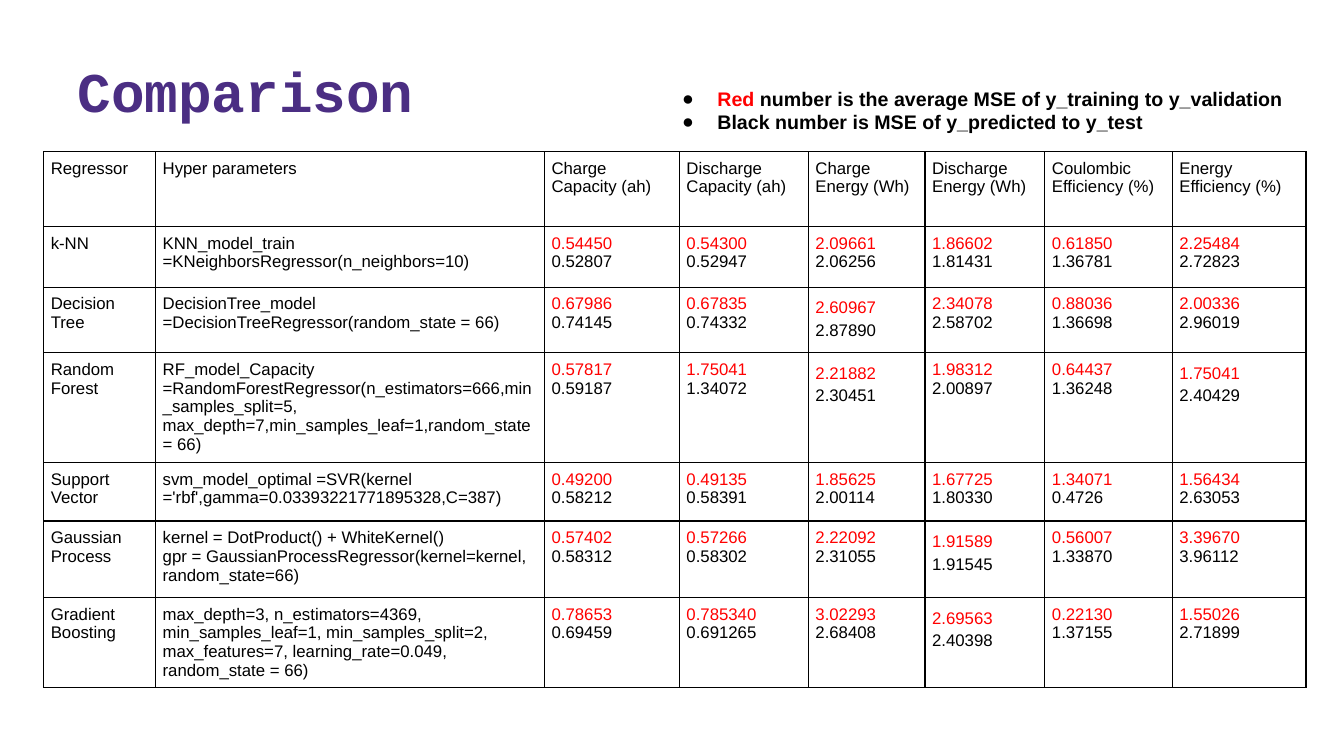
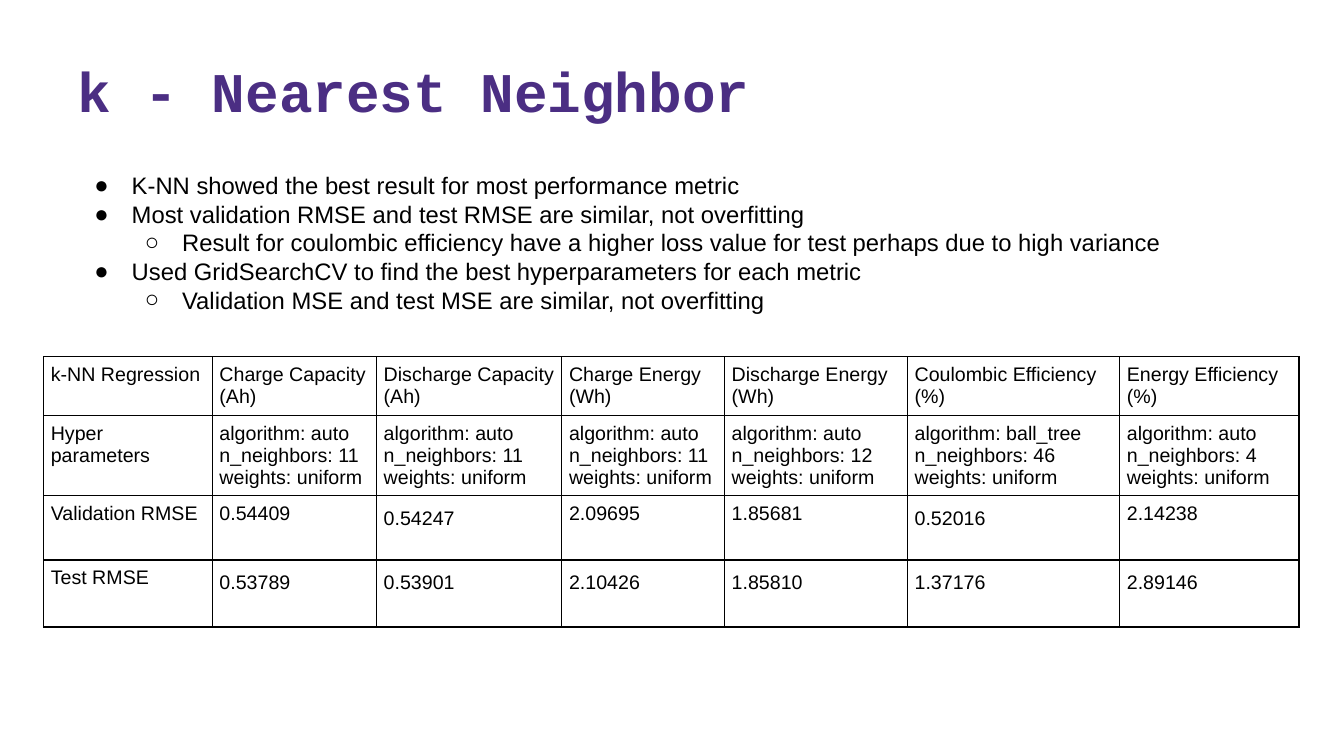
import pptx
import pptx.dml.color
import pptx.enum.text
import pptx.oxml
import pptx.oxml.ns
import pptx.util
from pptx.util import Cm

BLACK, RED, PURPLE = "000000", "FF0000", "4B2E83"
BODY_FONT, TITLE_FONT = "Arial", "Courier New"
LOOSE_SPACING = 1.21
CELL_MARGIN = Cm(0.18)

COMPARISON_HEADER = [
    "Regressor", "Hyper parameters", "Charge Capacity (ah)", "Discharge Capacity (ah)",
    "Charge Energy (Wh)", "Discharge Energy (Wh)", "Coulombic Efficiency (%)",
    "Energy Efficiency (%)",
]
REGRESSORS = [
    ("k-NN", "KNN_model_train =KNeighborsRegressor(n_neighbors=10)",
     "0.54450 0.54300 2.09661 1.86602 0.61850 2.25484",
     "0.52807 0.52947 2.06256 1.81431 1.36781 2.72823"),
    ("Decision Tree", "DecisionTree_model =DecisionTreeRegressor(random_state = 66)",
     "0.67986 0.67835 2.60967 2.34078 0.88036 2.00336",
     "0.74145 0.74332 2.87890 2.58702 1.36698 2.96019"),
    ("Random Forest",
     "RF_model_Capacity =RandomForestRegressor(n_estimators=666,min_samples_split=5, "
     "max_depth=7,min_samples_leaf=1,random_state = 66)",
     "0.57817 1.75041 2.21882 1.98312 0.64437 1.75041",
     "0.59187 1.34072 2.30451 2.00897 1.36248 2.40429"),
    ("Support Vector",
     "svm_model_optimal =SVR(kernel ='rbf',gamma=0.03393221771895328,C=387)",
     "0.49200 0.49135 1.85625 1.67725 1.34071 1.56434",
     "0.58212 0.58391 2.00114 1.80330 0.4726 2.63053"),
    ("Gaussian Process",
     "kernel = DotProduct() + WhiteKernel()\n"
     "gpr = GaussianProcessRegressor(kernel=kernel, random_state=66)",
     "0.57402 0.57266 2.22092 1.91589 0.56007 3.39670",
     "0.58312 0.58302 2.31055 1.91545 1.33870 3.96112"),
    ("Gradient Boosting",
     "max_depth=3, n_estimators=4369,\nmin_samples_leaf=1, min_samples_split=2,\n"
     "max_features=7, learning_rate=0.049,\nrandom_state = 66)",
     "0.78653 0.785340 3.02293 2.69563 0.22130 1.55026",
     "0.69459 0.691265 2.68408 2.40398 1.37155 2.71899"),
]
COMPARISON_LOOSE = {(2, 4), (3, 4), (3, 7), (5, 5), (6, 5)}

NEIGHBOR_HEADER = [
    "k-NN Regression", "Charge Capacity (Ah)", "Discharge Capacity (Ah)",
    "Charge Energy (Wh)", "Discharge Energy (Wh)", "Coulombic Efficiency (%)",
    "Energy Efficiency (%)",
]
NEIGHBOR_SETTINGS = [("auto", 11), ("auto", 11), ("auto", 11), ("auto", 12),
                     ("ball_tree", 46), ("auto", 4)]
VALIDATION_RMSE = "0.54409 0.54247 2.09695 1.85681 0.52016 2.14238"
TEST_RMSE = "0.53789 0.53901 2.10426 1.85810 1.37176 2.89146"
NEIGHBOR_LOOSE = {(2, 2), (2, 5)} | {(3, column) for column in range(1, 7)}


def rgb(code):
    return pptx.dml.color.RGBColor.from_string(code)


def add_text(para, text, font=BODY_FONT, size=12, color=BLACK, bold=False):
    span = para.add_run()
    span.text = text
    span.font.name = font
    span.font.size = pptx.util.Pt(size)
    span.font.color.rgb = rgb(color)
    span.font.bold = bold


def next_para(frame, number):
    return frame.add_paragraph() if number else frame.paragraphs[0]


def open_page(deck, title):
    page = deck.slides.add_slide(deck.slide_layouts[5])
    box = page.shapes.title
    box.left, box.top, box.width, box.height = Cm(1.7), Cm(1.37), Cm(30.28), Cm(1.88)
    frame = box.text_frame
    frame.auto_size = pptx.enum.text.MSO_AUTO_SIZE.NONE
    frame.vertical_anchor = pptx.enum.text.MSO_ANCHOR.BOTTOM
    para = frame.paragraphs[0]
    para.alignment = pptx.enum.text.PP_ALIGN.LEFT
    add_text(para, title, font=TITLE_FONT, size=40, color=PURPLE, bold=True)
    return page


def set_bullet(para, level, hanging):
    para.level = level
    props = para._p.get_or_add_pPr()
    props.set("marL", str(Cm(1.27 * (level + 1))))
    props.set("indent", str(-Cm(hanging)))
    namespace = pptx.oxml.ns.nsdecls("a")
    for markup in (
        f'<a:buClr {namespace}><a:srgbClr val="{BLACK}"/></a:buClr>',
        f'<a:buFont {namespace} typeface="{BODY_FONT}"/>',
        f'<a:buChar {namespace} char="{"●○"[level]}"/>',
    ):
        props.append(pptx.oxml.parse_xml(markup))


def add_bullets(page, left, top, width, height, items, size, hanging, bold=False):
    box = page.shapes.add_textbox(Cm(left), Cm(top), Cm(width), Cm(height))
    frame = box.text_frame
    frame.word_wrap = True
    frame.margin_left = frame.margin_right = Cm(0.25)
    frame.margin_top = frame.margin_bottom = Cm(0.25)
    for number, (level, spans) in enumerate(items):
        para = next_para(frame, number)
        set_bullet(para, level, hanging)
        for text, color in spans:
            add_text(para, text, size=size, color=color, bold=bold)


def set_borders(cell):
    props = cell._tc.get_or_add_tcPr()
    for position, side in enumerate(("lnL", "lnR", "lnT", "lnB")):
        props.insert(position, pptx.oxml.parse_xml(
            f'<a:{side} {pptx.oxml.ns.nsdecls("a")} w="{pptx.util.Pt(1)}">'
            f'<a:solidFill><a:srgbClr val="{BLACK}"/></a:solidFill></a:{side}>'))


def fill_cell(cell, text, size, first_color, spacing):
    cell.margin_left = cell.margin_right = CELL_MARGIN
    cell.margin_top = cell.margin_bottom = CELL_MARGIN
    cell.fill.background()
    set_borders(cell)
    for number, line in enumerate(text.split("\n")):
        para = next_para(cell.text_frame, number)
        if spacing:
            para.line_spacing = spacing
        add_text(para, line, size=size, color=BLACK if number else first_color)


def add_grid(page, left, top, widths, heights, rows, size, loose, red_from=None):
    frame = page.shapes.add_table(len(rows), len(widths), Cm(left), Cm(top),
                                  Cm(sum(widths)), Cm(sum(heights)))
    table = frame.table
    table.first_row = table.horz_banding = False
    for column, width in zip(table.columns, widths):
        column.width = Cm(width)
    for row, height in zip(table.rows, heights):
        row.height = Cm(height)
    for down, texts in enumerate(rows):
        for across, text in enumerate(texts):
            is_red = red_from is not None and down > 0 and across >= red_from
            fill_cell(table.cell(down, across), text, size, RED if is_red else BLACK,
                      LOOSE_SPACING if (down, across) in loose else None)


def build_comparison(deck):
    page = open_page(deck, "Comparison")
    rows = [COMPARISON_HEADER]
    for name, settings, training, test in REGRESSORS:
        pairs = zip(training.split(), test.split())
        rows.append([name, settings] + ["\n".join(pair) for pair in pairs])
    add_grid(page, 1.1, 3.82, [2.82, 9.8, 3.4, 3.25, 2.94, 3.02, 3.21, 3.37],
             [1.89, 1.53, 1.65, 2.77, 1.47, 1.93, 2.24], rows, size=12,
             loose=COMPARISON_LOOSE, red_from=2)
    notes = [
        (0, [("Red", RED),
             (" number is the average MSE of y_training to y_validation", BLACK)]),
        (0, [("Black number is MSE of y_predicted to y_test", BLACK)]),
    ]
    add_bullets(page, 16.56, 1.93, 17.75, 1.7, notes, size=14, hanging=0.89, bold=True)


def build_neighbor(deck):
    page = open_page(deck, "k - Nearest Neighbor")
    settings = [f"algorithm: {algorithm} n_neighbors: {count} weights: uniform"
                for algorithm, count in NEIGHBOR_SETTINGS]
    rows = [
        NEIGHBOR_HEADER,
        ["Hyper parameters"] + settings,
        ["Validation RMSE"] + VALIDATION_RMSE.split(),
        ["Test RMSE"] + TEST_RMSE.split(),
    ]
    add_grid(page, 1.1, 8.99, [4.25, 4.14, 4.67, 4.1, 4.61, 5.35, 4.52],
             [1.46, 2.03, 1.62, 1.69], rows, size=14, loose=NEIGHBOR_LOOSE)
    findings = [
        (0, "K-NN showed the best result for most performance metric"),
        (0, "Most validation RMSE and test RMSE are similar, not overfitting"),
        (1, "Result for coulombic efficiency have a higher loss value for test "
            "perhaps due to high variance"),
        (0, "Used GridSearchCV to find the best hyperparameters for each metric"),
        (1, "Validation MSE and test MSE are similar, not overfitting"),
    ]
    items = [(level, [(text, BLACK)]) for level, text in findings]
    add_bullets(page, 1.8, 4.06, 30.4, 4.14, items, size=17, hanging=0.94)


def main():
    deck = pptx.Presentation()
    deck.slide_width, deck.slide_height = Cm(33.87), Cm(19.05)
    build_comparison(deck)
    build_neighbor(deck)
    deck.save("out.pptx")


if __name__ == "__main__":
    main()
